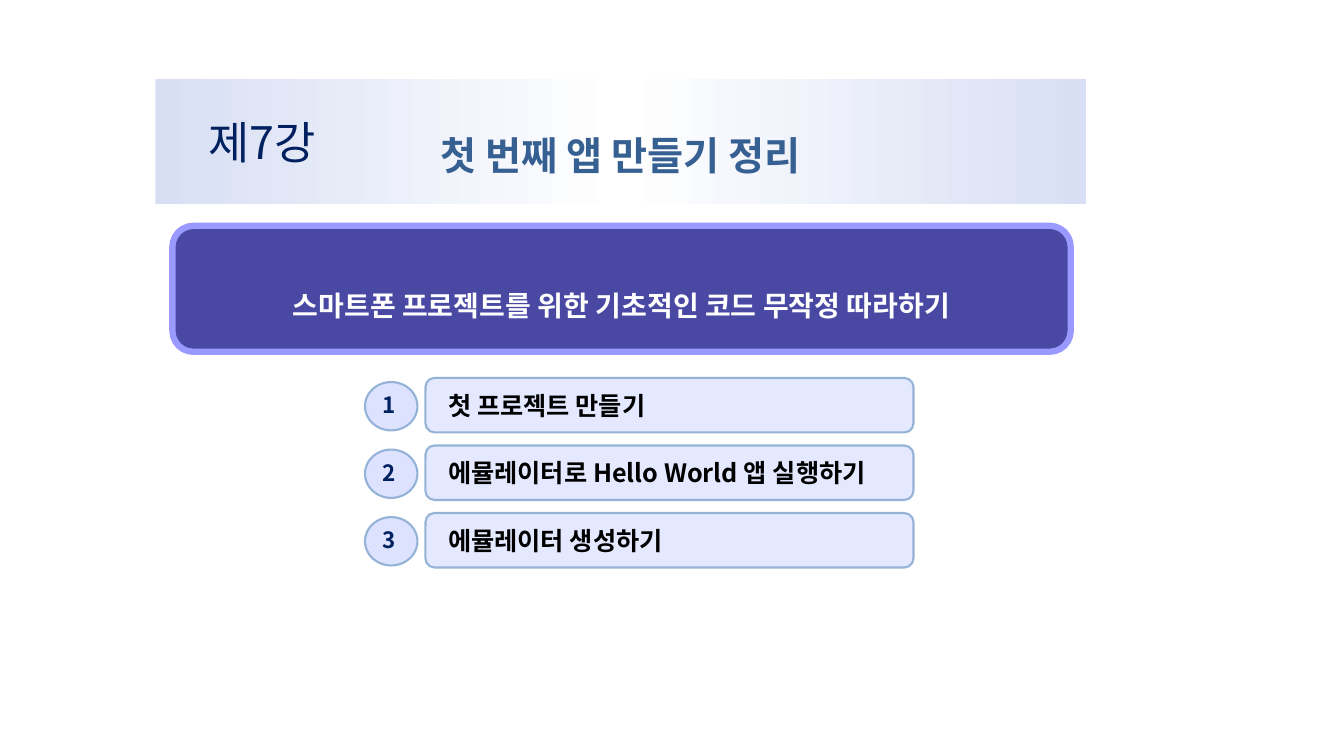
from lxml import etree
from pptx import Presentation
from pptx import util as u
from pptx.dml.color import RGBColor
from pptx.enum import shapes, text
from pptx.oxml import ns, parse_xml

PX = 9144
FONT = "Noto Sans CJK KR"
BAND_EDGE = RGBColor(0xD8, 0xDF, 0xF4)
WHITE = RGBColor(0xFF, 0xFF, 0xFF)
BLACK = RGBColor(0x00, 0x00, 0x00)
TITLE_BLUE = RGBColor(0x37, 0x60, 0x92)
NAVY = RGBColor(0x00, 0x20, 0x60)
INDIGO = RGBColor(0x33, 0x33, 0x99)
LILAC = RGBColor(0x99, 0x99, 0xFF)
NUMBER_FILL = RGBColor(0xDD, 0xE3, 0xFF)
TOPIC_FILL = RGBColor(0xE5, 0xE9, 0xFF)
OUTLINE = RGBColor(0x95, 0xB3, 0xD7)

TOPICS = ["첫 프로젝트 만들기", "에뮬레이터로 Hello World 앱 실행하기", "에뮬레이터 생성하기"]
TOPIC_PITCH = 67


def px(*lengths):
    return [u.Emu(length * PX) for length in lengths]


def write(frame, words, size, color, bold=True, align=text.PP_ALIGN.LEFT,
          spacing=None, wrap=True):
    frame.word_wrap = wrap
    frame.auto_size = text.MSO_AUTO_SIZE.NONE
    frame.vertical_anchor = text.MSO_ANCHOR.MIDDLE
    paragraph = frame.paragraphs[0]
    paragraph.alignment = align
    if spacing:
        paragraph.line_spacing = spacing
    run = paragraph.add_run()
    run.text = words
    run.font.size = u.Pt(size)
    run.font.bold = bold
    run.font.name = FONT
    run.font.color.rgb = color
    east_asian = etree.SubElement(run.font._element, ns.qn("a:ea"))
    east_asian.set("typeface", FONT)
    return paragraph


def add_panel(slide, kind, box, fill, line, line_width):
    panel = slide.shapes.add_shape(kind, *px(*box))
    panel.shadow.inherit = False
    panel.fill.solid()
    panel.fill.fore_color.rgb = fill
    panel.line.color.rgb = line
    panel.line.width = u.Pt(line_width)
    return panel


def set_title(slide, words):
    title = slide.shapes.title
    title.left, title.top, title.width, title.height = px(154, 78, 923, 124)
    namespace = ns.nsdecls("a")
    title._element.spPr.append(parse_xml(
        f'<a:prstGeom {namespace} prst="roundRect"><a:avLst>'
        '<a:gd name="adj" fmla="val 2800"/></a:avLst></a:prstGeom>'))
    stops = "".join(
        f'<a:gs pos="{position}"><a:srgbClr val="{color}"/></a:gs>'
        for position, color in [(0, BAND_EDGE), (50000, WHITE), (100000, BAND_EDGE)])
    title._element.spPr.append(parse_xml(
        f'<a:gradFill {namespace}><a:gsLst>{stops}</a:gsLst>'
        '<a:lin ang="0" scaled="1"/></a:gradFill>'))
    heading = write(title.text_frame, words, 28, TITLE_BLUE,
                    align=text.PP_ALIGN.CENTER, spacing=1.6)
    properties = heading._p.get_or_add_pPr()
    properties.set("marL", str(20 * PX))
    properties.set("indent", str(-20 * PX))


def add_lesson_number(slide, words):
    lesson = slide.shapes.add_textbox(*px(197, 108, 150, 64))
    write(lesson.text_frame, words, 32, NAVY, bold=False, wrap=False)


def add_summary(slide, words):
    summary = add_panel(slide, shapes.MSO_SHAPE.ROUNDED_RECTANGLE,
                        (171, 224, 891, 125), INDIGO, LILAC, 4.5)
    color = summary._element.spPr.find(ns.qn("a:solidFill"))[0]
    etree.SubElement(color, ns.qn("a:alpha")).set("val", "89000")
    write(summary.text_frame, words, 20, WHITE,
          align=text.PP_ALIGN.CENTER, spacing=2.0, wrap=False)


def add_topic(slide, index, words):
    offset = index * TOPIC_PITCH
    number = add_panel(slide, shapes.MSO_SHAPE.OVAL,
                       (362, 379 + offset, 52, 48), NUMBER_FILL, OUTLINE, 1.5)
    write(number.text_frame, str(index + 1), 16, NAVY, spacing=u.Pt(17))
    topic = add_panel(slide, shapes.MSO_SHAPE.ROUNDED_RECTANGLE,
                      (422, 375 + offset, 484, 54), TOPIC_FILL, OUTLINE, 1.5)
    topic.text_frame.margin_left = u.Emu(20 * PX)
    write(topic.text_frame, words, 18, BLACK)


def main():
    deck = Presentation()
    deck.slide_width, deck.slide_height = px(1333, 750)
    slide = deck.slides.add_slide(deck.slide_layouts[5])
    set_title(slide, "첫 번째 앱 만들기 정리")
    add_lesson_number(slide, "제7강")
    add_summary(slide, "스마트폰 프로젝트를 위한 기초적인 코드 무작정 따라하기")
    for index, words in enumerate(TOPICS):
        add_topic(slide, index, words)
    deck.save("out.pptx")


if __name__ == "__main__":
    main()
